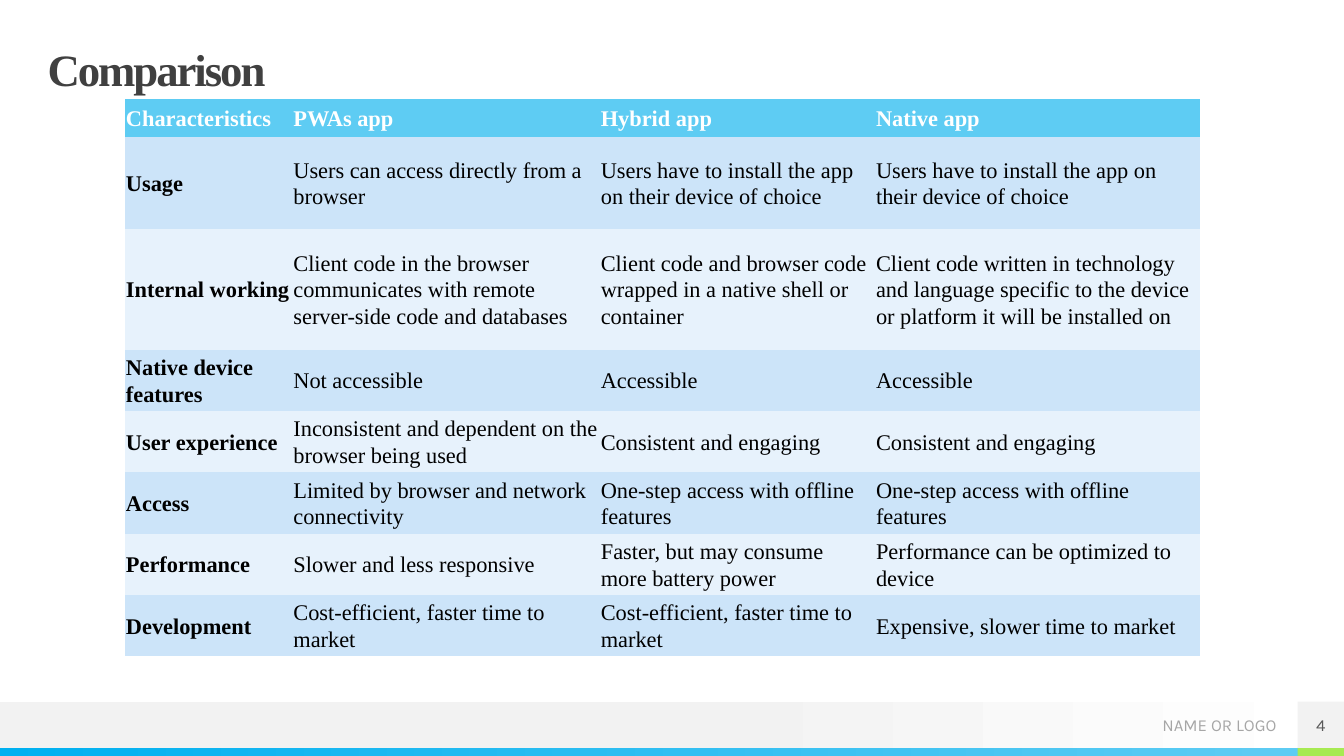
from dataclasses import dataclass

from pptx import Presentation
from pptx.dml.color import RGBColor
from pptx.enum.shapes import MSO_SHAPE
from pptx.enum.text import MSO_ANCHOR, PP_ALIGN
from pptx.oxml.ns import qn
from pptx.util import Pt

RECTANGLE = MSO_SHAPE.RECTANGLE
TOP, MIDDLE = MSO_ANCHOR.TOP, MSO_ANCHOR.MIDDLE
LEFT, CENTER, RIGHT = PP_ALIGN.LEFT, PP_ALIGN.CENTER, PP_ALIGN.RIGHT
PLAIN_TABLE_STYLE = "{2D5ABB26-0587-4C30-8999-92F81FD0307C}"


@dataclass(frozen=True)
class Theme:
    heading_font: str = "Times New Roman"
    footer_font: str = "Karla"
    title_size: float = 32
    table_size: float = 16
    footer_size: float = 12
    title: str = "404040"
    body: str = "000000"
    white: str = "FFFFFF"
    header: str = "5ECCF3"
    bands: tuple = ("CCE4F9", "E7F2FC")
    footer: str = "F2F2F2"
    footer_text: str = "A6A6A6"
    page_number: str = "595959"
    strip: str = "00B0F0"
    accent: str = "A7EA52"


THEME = Theme()
WIDTH, HEIGHT = 960, 540
COLUMN_WIDTHS = (119.6, 219.6, 196.6, 232.4)
ROW_HEIGHTS = (27.4, 65.5, 86.4) + (43.8,) * 5
COMPARISON = (
    ("Characteristics", "PWAs app", "Hybrid app", "Native app"),
    ("Usage", "Users can access directly from a browser",
     "Users have to install the app on their device of choice",
     "Users have to install the app on their device of choice"),
    ("Internal working",
     "Client code in the browser communicates with remote server-side code and databases",
     "Client code and browser code wrapped in a native shell or container",
     "Client code written in technology and language specific to the device "
     "or platform it will be installed on"),
    ("Native device features", "Not accessible", "Accessible", "Accessible"),
    ("User experience", "Inconsistent and dependent on the browser being used",
     "Consistent and engaging", "Consistent and engaging"),
    ("Access", "Limited by browser and network connectivity",
     "One-step access with offline features", "One-step access with offline features"),
    ("Performance", "Slower and less responsive",
     "Faster, but may consume more battery power",
     "Performance can be optimized to device"),
    ("Development", "Cost-efficient, faster time to market",
     "Cost-efficient, faster time to market", "Expensive, slower time to market"),
)


def set_values(target, values):
    for name, value in values.items():
        setattr(target, name, value)


def lengths(box):
    return [Pt(length) for length in box]


def margins(inset):
    return {f"margin_{side}": Pt(inset) for side in ("left", "top", "right", "bottom")}


def write(frame, text, font, size, color, bold=False, **paragraph_format):
    paragraph = frame.paragraphs[0]
    set_values(paragraph, paragraph_format)
    run = paragraph.add_run()
    run.text = text
    set_values(run.font, {"name": font, "size": Pt(size), "bold": bold})
    run.font.color.rgb = RGBColor.from_string(color)
    return run


def add_bar(slide, box, *stops):
    bar = slide.shapes.add_shape(RECTANGLE, *lengths(box))
    bar.shadow.inherit = False
    bar.line.fill.background()
    if len(stops) == 1:
        bar.fill.solid()
        bar.fill.fore_color.rgb = RGBColor.from_string(stops[0])
    else:
        bar.fill.gradient()
        bar.fill.gradient_angle = 0
        for stop, (position, color) in zip(bar.fill.gradient_stops, stops):
            stop.position = position
            stop.color.rgb = RGBColor.from_string(color)
    return bar


def add_footer(slide, box):
    left, top, width, height = box
    strip_height = 5.8
    band_height = height - strip_height
    corner_left = left + width - band_height
    strip_top = top + band_height
    add_bar(slide, (left, top, width, band_height), (0.53, THEME.footer), (1, THEME.white))
    add_bar(slide, (left, strip_top, corner_left - left, strip_height),
            (0, THEME.strip), (1, THEME.header))
    add_bar(slide, (corner_left, strip_top, band_height, strip_height), THEME.accent)

    name_width, name_gap = 161.3, 15
    name = slide.shapes.add_textbox(
        *lengths((corner_left - name_gap - name_width, top, name_width, band_height)))
    page = add_bar(slide, (corner_left, top, band_height, band_height), THEME.footer)
    for holder, text, color, alignment in (
        (name, "NAME OR LOGO", THEME.footer_text, RIGHT),
        (page, "4", THEME.page_number, CENTER),
    ):
        frame = holder.text_frame
        set_values(frame, {"word_wrap": True, "vertical_anchor": MIDDLE, **margins(0)})
        write(frame, text, THEME.footer_font, THEME.footer_size, color, alignment=alignment)


def add_title(slide, box):
    title = slide.shapes.title
    set_values(title, dict(zip(("left", "top", "width", "height"), lengths(box))))
    frame = title.text_frame
    set_values(frame, {"word_wrap": True, "vertical_anchor": TOP, **margins(0)})
    heading = write(frame, "Comparison", THEME.heading_font, THEME.title_size,
                    THEME.title, True, alignment=LEFT, line_spacing=0.9)
    heading.font._element.set("spc", "-150")


def add_comparison(slide, box):
    frame = slide.shapes.add_table(len(COMPARISON), len(COLUMN_WIDTHS), *lengths(box))
    table = frame.table
    table._tbl.tblPr.find(qn("a:tableStyleId")).text = PLAIN_TABLE_STYLE
    for column, width in zip(table.columns, COLUMN_WIDTHS):
        column.width = Pt(width)
    for row, height in zip(table.rows, ROW_HEIGHTS):
        row.height = Pt(height)
    for row_index, texts in enumerate(COMPARISON):
        is_header = row_index == 0
        fill = THEME.header if is_header else THEME.bands[(row_index - 1) % 2]
        color = THEME.white if is_header else THEME.body
        for column_index, text in enumerate(texts):
            cell = table.cell(row_index, column_index)
            set_values(cell, {"vertical_anchor": MIDDLE, **margins(0.72)})
            cell.fill.solid()
            cell.fill.fore_color.rgb = RGBColor.from_string(fill)
            write(cell.text_frame, text, THEME.heading_font, THEME.table_size, color,
                  is_header or column_index == 0, line_spacing=1.07, space_after=Pt(8))


def main():
    deck = Presentation()
    set_values(deck, {"slide_width": Pt(WIDTH), "slide_height": Pt(HEIGHT)})
    slide = deck.slides.add_slide(deck.slide_layouts[5])
    add_footer(slide, (0, 501.1, WIDTH, 38.9))
    add_title(slide, (34, 34, 824.4, 34))
    add_comparison(slide, (89.3, 70.6, sum(COLUMN_WIDTHS), sum(ROW_HEIGHTS)))
    deck.save("out.pptx")


if __name__ == "__main__":
    main()
